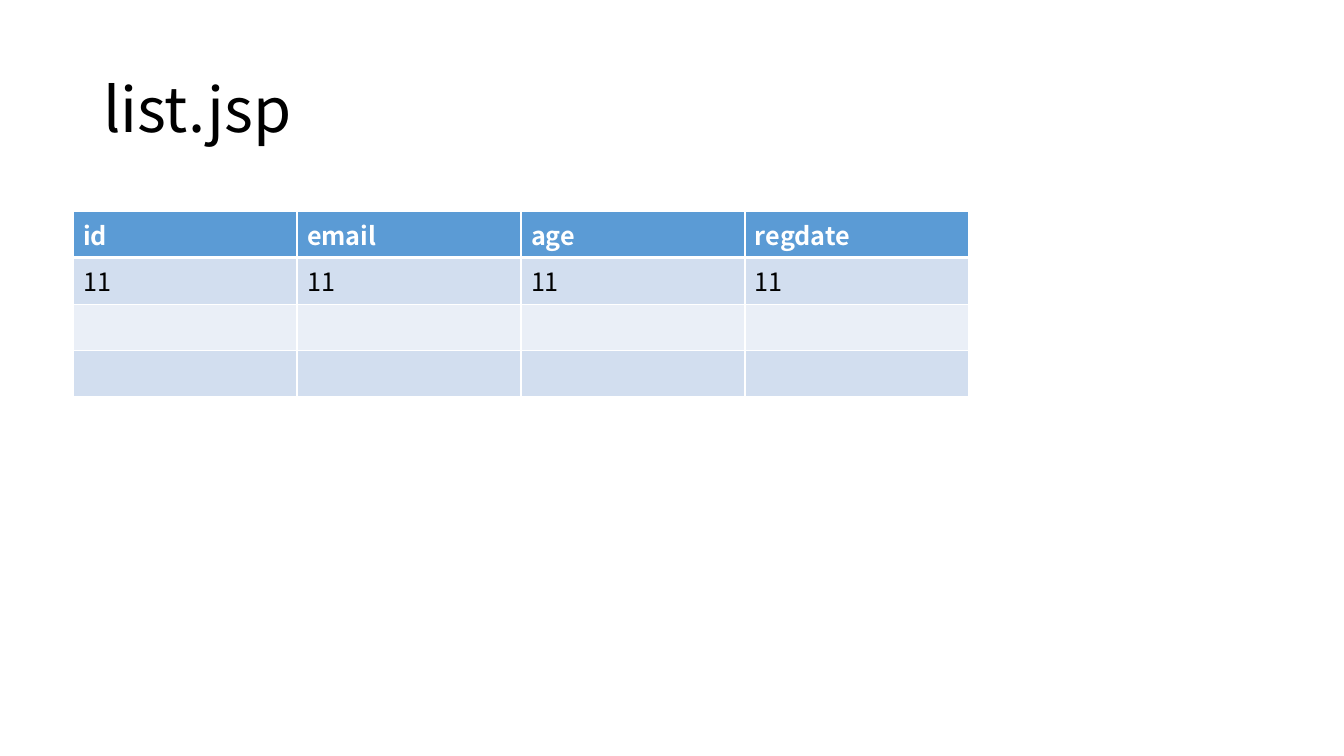
from lxml import etree
from pptx import Presentation
from pptx import util as u
from pptx.dml.color import RGBColor
from pptx.enum import text
from pptx.oxml import ns

SCALE = 914400 / 100.8
FONT = "Noto Sans CJK KR"
COLORS = {
    "text": "000000",
    "white": "FFFFFF",
    "header": "5B9BD5",
    "odd_row": "D2DEEF",
    "even_row": "EAEFF7",
}
ROWS = [["id", "email", "age", "regdate"], ["11"] * 4, [""] * 4, [""] * 4]


def px(length):
    """Turn pixels into EMU."""
    return u.Emu(round(length * SCALE))


def color(name):
    """Look up a named colour."""
    return RGBColor.from_string(COLORS[name])


def set_attributes(target, values):
    """Set every attribute in a dict of format values."""
    for name, value in values.items():
        setattr(target, name, value)


def format_font(font, size, color_name, bold=False):
    """Give a font its face, size, weight and colour."""
    set_attributes(font, {"name": FONT, "size": u.Pt(size), "bold": bold})
    font.color.rgb = color(color_name)


def add_borders(cell, widths):
    """Draw white cell borders; widths maps each side to points."""
    properties = cell._tc.get_or_add_tcPr()
    for index, side in enumerate("LRTB"):
        line = etree.Element(ns.qn(f"a:ln{side}"), w=str(u.Pt(widths[side])))
        fill = etree.SubElement(line, ns.qn("a:solidFill"))
        etree.SubElement(fill, ns.qn("a:srgbClr"), val=COLORS["white"])
        properties.insert(index, line)


def place_title(slide, box, title):
    """Move and format the title placeholder."""
    shape = slide.shapes.title
    set_attributes(shape, dict(zip(("left", "top", "width", "height"), map(px, box))))
    frame = shape.text_frame
    set_attributes(frame, {
        "text": title,
        "word_wrap": True,
        "vertical_anchor": text.MSO_ANCHOR.MIDDLE,
    })
    paragraph = frame.paragraphs[0]
    set_attributes(paragraph, {"alignment": text.PP_ALIGN.LEFT, "line_spacing": 0.9})
    format_font(paragraph.runs[0].font, 44, "text")


def add_member_table(slide, box, rows):
    """Add the member list with a header row and banded body rows."""
    table = slide.shapes.add_table(len(rows), len(rows[0]), *map(px, box)).table
    for row_index, values in enumerate(rows):
        is_header = row_index == 0
        fill_name = "header" if is_header else ("even_row", "odd_row")[row_index % 2]
        widths = {"L": 1, "R": 1, "T": 3 if row_index == 1 else 1,
                  "B": 3 if is_header else 1}
        for column_index, value in enumerate(values):
            cell = table.cell(row_index, column_index)
            cell.fill.solid()
            cell.fill.fore_color.rgb = color(fill_name)
            add_borders(cell, widths)
            if value:
                cell.text = value
                format_font(cell.text_frame.paragraphs[0].runs[0].font, 18,
                            "white" if is_header else "text", is_header)


def main():
    """Build and save the presentation."""
    presentation = Presentation()
    set_attributes(presentation, {"slide_width": px(1344), "slide_height": px(756)})
    slide = presentation.slides.add_slide(presentation.slide_layouts[5])
    place_title(slide, (93, 40, 1159, 146), "list.jsp")
    add_member_table(slide, (73, 211, 896, 185), ROWS)
    presentation.save("out.pptx")


main()
